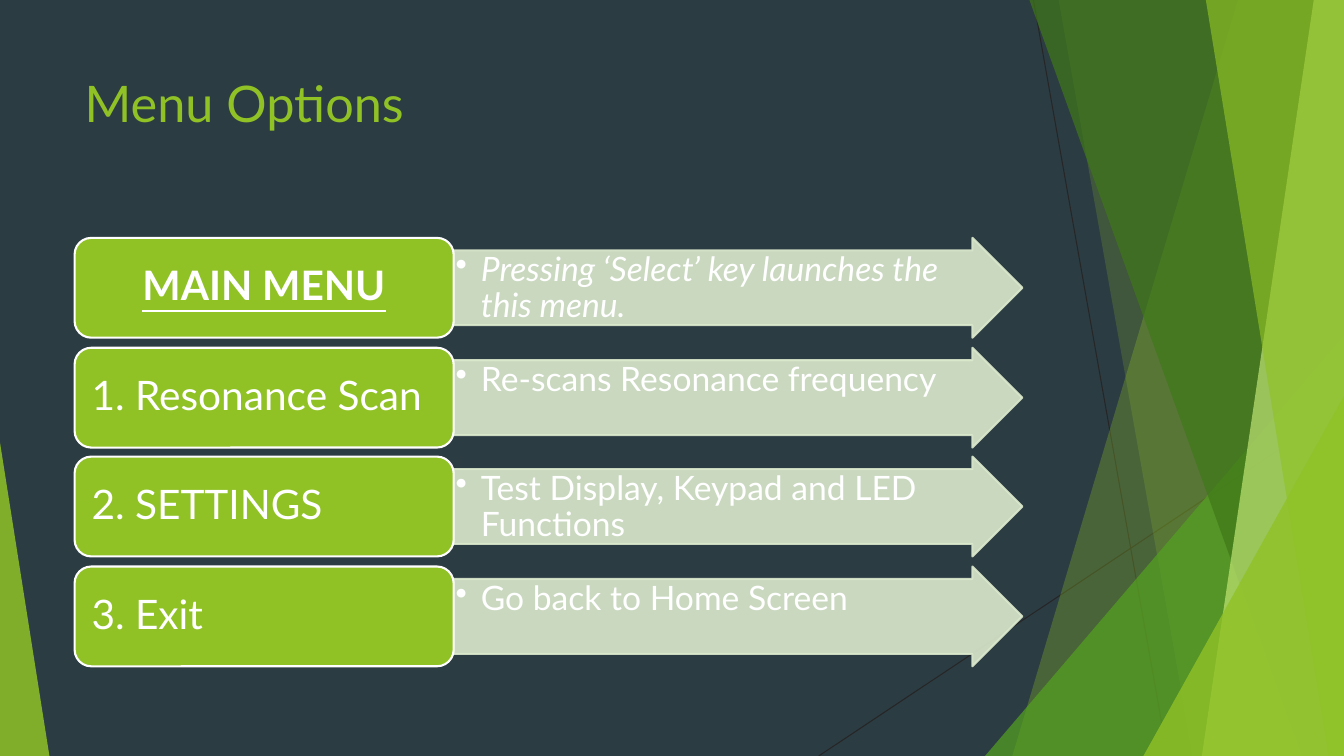
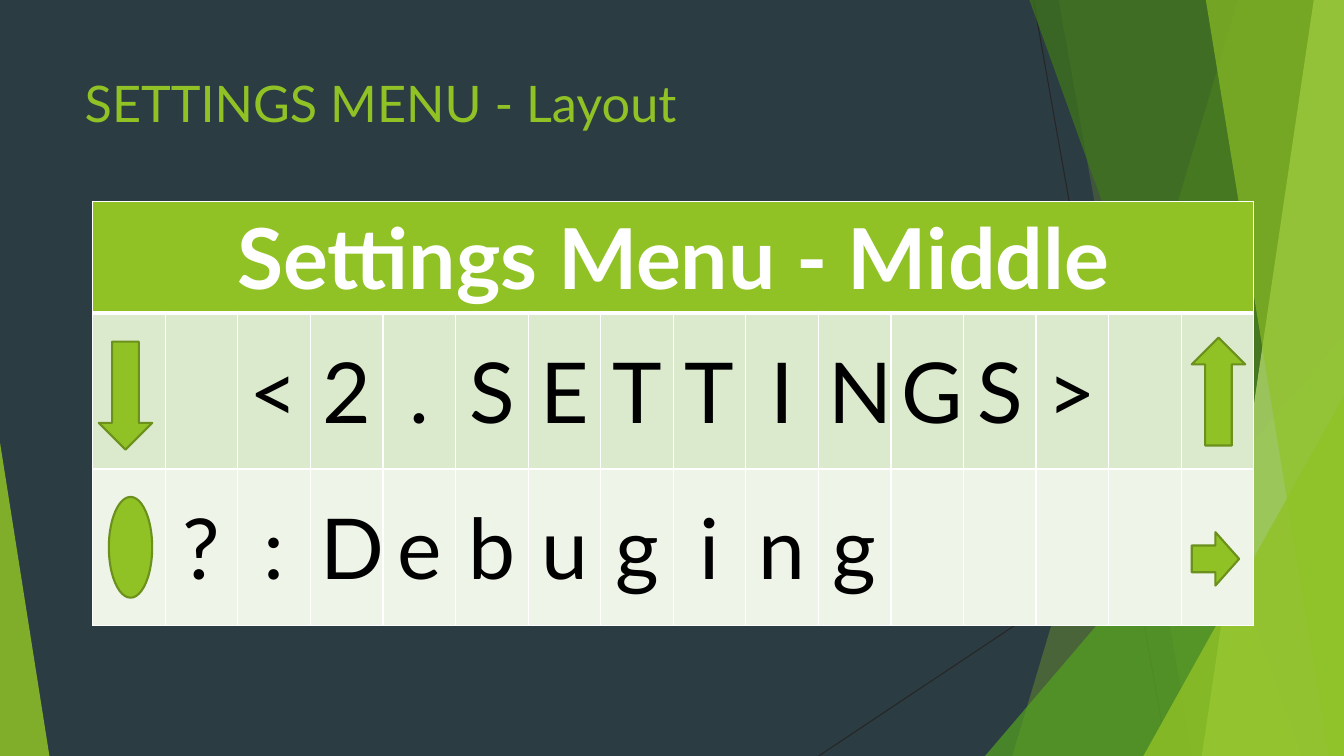
import dataclasses

import lxml.etree
import pptx
import pptx.dml.color
import pptx.enum.shapes
import pptx.enum.text
import pptx.oxml.ns
import pptx.util

PX = 9144  # EMU per px, 100 px to the inch
WIDE, HIGH = 1333, 750

KIND = pptx.enum.shapes.MSO_SHAPE
ALIGN = pptx.enum.text.PP_ALIGN
ANCHOR = pptx.enum.text.MSO_ANCHOR
Pt = pptx.util.Pt
qn = pptx.oxml.ns.qn


@dataclasses.dataclass(frozen=True)
class Theme:
    font: str = "Lato"
    back: str = "2C3C43"
    lime: str = "90C226"
    leaf: str = "54A021"
    moss: str = "3F7819"
    pale: str = "C0E474"
    edge: str = "6B901C"
    mist: str = "DBE9CD"
    haze: str = "EEF4E8"
    wire: str = "262626"
    white: str = "FFFFFF"
    black: str = "000000"
    title: int = 36
    label: int = 29
    note: int = 24
    cell: int = 60


def rgb(code):
    return pptx.dml.color.RGBColor.from_string(code)


def emu(*sizes):
    return [size * PX for size in sizes]


def add(parent, tag, **attrs):
    return lxml.etree.SubElement(parent, qn(tag), **attrs)


class Deck:
    def __init__(self, theme):
        self.theme = theme
        self.show = pptx.Presentation()
        self.show.slide_width, self.show.slide_height = emu(WIDE, HIGH)
        fill = self.show.slide_master.background.fill
        fill.solid()
        fill.fore_color.rgb = rgb(theme.back)
        self.slide = None

    def start(self, title):
        layout = self.show.slide_layouts.get_by_name("Title Only")
        self.slide = self.show.slides.add_slide(layout)
        self.backdrop()
        self.title(title)

    def backdrop(self):
        look = self.theme
        self.line(1025, 0, 1158, HIGH)
        self.line(WIDE, 403, 812, HIGH)
        self.strip(1228, 1004, look.lime, 30)
        self.strip(1050, 1183, look.lime, 20)
        self.wedge(977, 333, 356, 1, look.leaf, 72)
        self.strip(1021, 1291, look.moss, 70)
        self.strip(1303, 1192, look.pale, 70)
        self.strip(1196, 1318, look.lime, 65)
        self.wedge(1134, 393, 199, 1, look.lime, 80)
        self.wedge(0, 439, 49, 0, look.lime, 85)

    def line(self, *ends):
        kind = pptx.enum.shapes.MSO_CONNECTOR.STRAIGHT
        line = self.slide.shapes.add_connector(kind, *emu(*ends))
        line.line.color.rgb = rgb(self.theme.wire)
        line.line.width = Pt(0.75)
        add(line.element.spPr, "a:effectLst")

    def strip(self, top, foot, fill, alpha):
        """Band from a slanted left side to the right edge of the slide."""
        pen = self.slide.shapes.build_freeform(top, 0, scale=PX)
        pen.add_line_segments([(WIDE, 0), (WIDE, HIGH), (foot, HIGH)])
        self.paint(pen.convert_to_shape(), fill, alpha=alpha)

    def wedge(self, left, top, width, apex, fill, alpha):
        """Right triangle that stands on the foot of the slide."""
        box = (left, top, width, HIGH - top)
        shape = self.shape(KIND.ISOSCELES_TRIANGLE, box, fill, alpha=alpha)
        shape.adjustments[0] = apex

    def shape(self, kind, box, fill, line=None, alpha=100):
        shape = self.slide.shapes.add_shape(kind, *emu(*box))
        self.paint(shape, fill, line, alpha)
        return shape

    def paint(self, shape, fill, line=None, alpha=100):
        shape.shadow.inherit = False
        shape.fill.solid()
        shape.fill.fore_color.rgb = rgb(fill)
        if line:
            shape.line.color.rgb = rgb(line)
            shape.line.width = Pt(1.5)
        else:
            shape.line.fill.background()
        if alpha < 100:
            for color in shape.element.spPr.iter(qn("a:srgbClr")):
                add(color, "a:alpha", val=str(alpha * 1000))

    def text(self, frame, words, size, color, align=ALIGN.LEFT, bold=False,
             italic=False, under=False, space=None, bullet=False):
        para = frame.paragraphs[0]
        para.text = words
        para.alignment = align
        if space:
            para.line_spacing = space
        if bullet:
            props = para._p.get_or_add_pPr()
            props.set("marL", str(25 * PX))
            props.set("indent", str(-25 * PX))
            add(props, "a:buChar", char="•")
        font = para.font
        font.name, font.size, font.color.rgb = self.theme.font, Pt(size), rgb(color)
        font.bold, font.italic, font.underline = bold, italic, under

    def frame(self, shape, anchor, *pads):
        frame = shape.text_frame
        frame.word_wrap = True
        frame.auto_size = pptx.enum.text.MSO_AUTO_SIZE.NONE
        frame.vertical_anchor = anchor
        (frame.margin_left, frame.margin_top,
         frame.margin_right, frame.margin_bottom) = emu(*pads)
        return frame

    def title(self, words):
        shape = self.slide.shapes.title
        shape.left, shape.top, shape.width, shape.height = emu(74, 67, 940, 144)
        frame = self.frame(shape, ANCHOR.TOP, 10, 5, 10, 5)
        self.text(frame, words, self.theme.title, self.theme.lime)

    def option(self, top, label, note, head):
        """Label box with an arrow that explains it."""
        look = self.theme
        arrow = self.shape(KIND.RIGHT_ARROW, (450, top, 564, 99),
                           look.mist, look.mist, 90)
        arrow.adjustments[0] = 0.75
        arrow.adjustments[1] = 0.5
        self.text(self.frame(arrow, ANCHOR.TOP, 2, 2, 27, 2), note, look.note,
                  look.white, italic=head, space=0.9, bullet=True)
        box = self.shape(KIND.ROUNDED_RECTANGLE, (74, top, 376, 99),
                         look.lime, look.white)
        self.text(self.frame(box, ANCHOR.MIDDLE, 12, 6, 12, 6), label,
                  look.label, look.white, ALIGN.CENTER if head else ALIGN.LEFT,
                  bold=head, under=head, space=0.9)

    def border(self, cell, **sides):
        props = cell._tc.get_or_add_tcPr()
        for side in "LRTB":
            width = str(Pt(sides.get(side, 1)))
            line = add(props, "a:ln" + side, w=width)
            add(add(line, "a:solidFill"), "a:srgbClr", val=self.theme.white)

    def screen(self, head, lines):
        """Table with one letter to a cell, under a merged heading."""
        look = self.theme
        cols, high = len(lines[0]), (102, 155, 155)
        table = self.slide.shapes.add_table(
            len(high), cols, *emu(92, 200, 72 * cols, sum(high))).table
        table.first_row = table.horz_banding = False
        for col in table.columns:
            col.width = 72 * PX
        fills = (look.lime, look.mist, look.haze)
        rims = ({"B": 3}, {"T": 3}, {})
        texts = ([head] + [""] * (cols - 1), *lines)
        for row, (size, fill, rim, text) in enumerate(zip(high, fills, rims, texts)):
            table.rows[row].height = size * PX
            for col, word in enumerate(text):
                cell = table.cell(row, col)
                self.border(cell, **rim)
                cell.fill.solid()
                cell.fill.fore_color.rgb = rgb(fill)
                cell.vertical_anchor = ANCHOR.MIDDLE
                if word.strip():
                    self.text(cell.text_frame, word, look.cell,
                              look.black if row else look.white,
                              ALIGN.CENTER, bold=row == 0)
        table.cell(0, 0).merge(table.cell(0, cols - 1))

    def key(self, kind, *box):
        self.shape(kind, box, self.theme.lime, self.theme.edge)


def main():
    deck = Deck(Theme())

    deck.start("Menu Options")
    options = (
        ("MAIN MENU", "Pressing ‘Select’ key launches the this menu."),
        ("1. Resonance Scan", "Re-scans Resonance frequency"),
        ("2. SETTINGS", "Test Display, Keypad and LED Functions"),
        ("3. Exit", "Go back to Home Screen"),
    )
    for row, (label, note) in enumerate(options):
        deck.option(236 + round(row * 108.6), label, note, row == 0)

    deck.start("SETTINGS MENU - Layout")
    deck.screen("Settings Menu - Middle",
                ("<2.SETTINGS>".center(16), " ?:Debuging".ljust(16)))
    deck.key(KIND.DOWN_ARROW, 98, 339, 53, 107)
    deck.key(KIND.OVAL, 108, 493, 43, 100)
    deck.key(KIND.UP_ARROW, 1182, 335, 53, 107)
    deck.key(KIND.RIGHT_ARROW, 1182, 528, 47, 53)

    deck.show.save("out.pptx")


if __name__ == "__main__":
    main()
